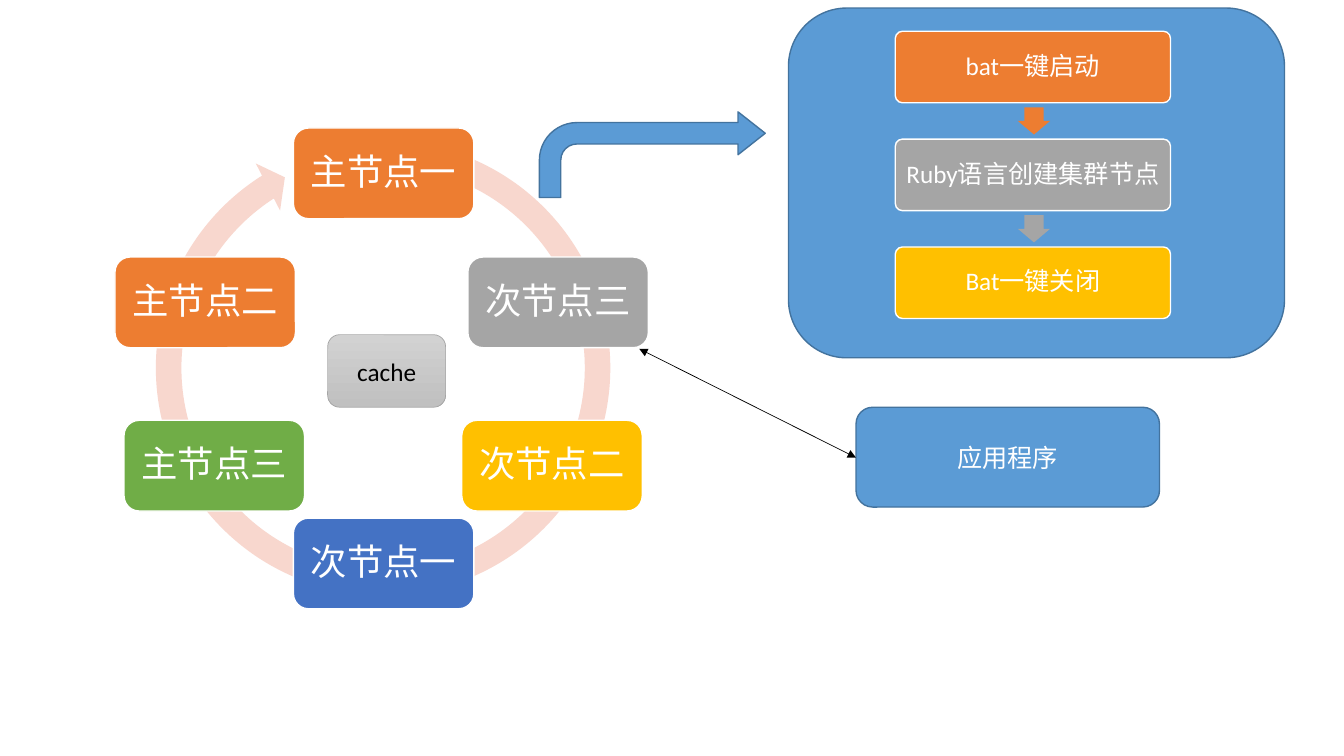
"""Build a slide showing a ring of cluster nodes, its start-up steps and the client application."""
from lxml import etree
from pptx import Presentation
from pptx.dml.color import RGBColor
from pptx.enum import shapes, text
from pptx.oxml import ns
from pptx.util import Inches, Pt

COLORS = {
    "orange": "ED7D31", "gray": "A5A5A5", "gold": "FFC000", "indigo": "4472C4",
    "green": "70AD47", "blue": "5B9BD5", "outline": "43739E", "ring": "F8D7CE",
    "white": "FFFFFF", "black": "000000", "light": "D2D2D2", "silver": "C0C0C0",
}
PRESET = shapes.MSO_SHAPE


def color(name):
    return RGBColor.from_string(COLORS[name])


def add_block(preset, box, fill, line=None, label="", size=18, inset=None, adjust=()):
    block = slide.shapes.add_shape(preset, *[Inches(length) for length in box])
    block.shadow.inherit = False
    for index, value in enumerate(adjust):
        block.adjustments[index] = value
    block.fill.solid()
    block.fill.fore_color.rgb = color(fill)
    if line:
        block.line.color.rgb = color(line)
        block.line.width = Pt(1)
    else:
        block.line.fill.background()
    if label:
        frame = block.text_frame
        frame.text = label
        frame.word_wrap = True
        frame.vertical_anchor = text.MSO_ANCHOR.MIDDLE
        paragraph = frame.paragraphs[0]
        paragraph.alignment = text.PP_ALIGN.CENTER
        font = paragraph.runs[0].font
        font.name, font.size = "Calibri", Pt(size)
        font.color.rgb = color("white")
        if inset:
            paragraph.line_spacing = 0.9
            frame.margin_left = frame.margin_right = Inches(inset)
            frame.margin_top = frame.margin_bottom = Inches(inset)
    return block


prs = Presentation()
prs.slide_width, prs.slide_height = Inches(13.33), Inches(7.5)
slide = prs.slides.add_slide(prs.slide_layouts[6])

add_block(PRESET.CIRCULAR_ARROW, (1.41, 1.26, 4.78, 4.78), "ring",
          adjust=(0.053, 3.126, 142.513, 171.135, 0.055))
nodes = [
    ("主节点一", 2.91, 1.27, "orange"),
    ("次节点三", 4.64, 2.55, "gray"),
    ("次节点二", 4.58, 4.17, "gold"),
    ("次节点一", 2.91, 5.14, "indigo"),
    ("主节点三", 1.23, 4.17, "green"),
    ("主节点二", 1.14, 2.55, "orange"),
]
for label, left, top, fill in nodes:
    add_block(PRESET.ROUNDED_RECTANGLE, (left, top, 1.79, 0.9), fill, "white", label, 26, 0.11)

add_block(PRESET.ROUNDED_RECTANGLE, (7.82, 0.08, 4.92, 3.47), "blue", "outline")
steps = [("bat一键启动", "orange"), ("Ruby语言创建集群节点", "gray"), ("Bat一键关闭", "gold")]
for index, (label, fill) in enumerate(steps):
    top = 0.31 + 1.07 * index
    add_block(PRESET.ROUNDED_RECTANGLE, (8.88, top, 2.73, 0.71), fill, "white", label,
              inset=0.07, adjust=(0.1,))
    if index < len(steps) - 1:
        next_step = add_block(PRESET.RIGHT_ARROW, (10.12, top + 0.73, 0.27, 0.32), fill,
                              adjust=(0.6, 0.5))
        next_step.rotation = 90

add_block(PRESET.ROUNDED_RECTANGLE, (8.49, 4.04, 3.01, 0.99), "blue", "outline", "应用程序")

cluster = add_block(PRESET.ROUNDED_RECTANGLE, (3.25, 3.32, 1.17, 0.72), "silver", "gray", "cache")
cluster.line.width = Pt(0.5)
cluster.text_frame.paragraphs[0].runs[0].font.color.rgb = color("black")
cluster.fill.gradient()
cluster.fill.gradient_angle = 270
for stop, shade in zip(cluster.fill.gradient_stops, ("light", "silver")):
    stop.color.rgb = color(shade)

access = slide.shapes.add_connector(shapes.MSO_CONNECTOR.STRAIGHT, Inches(8.49), Inches(4.54),
                                    Inches(6.34), Inches(3.46))
access.line.color.rgb = color("black")
access.line.width = Pt(0.5)
for end in ("a:headEnd", "a:tailEnd"):
    etree.SubElement(access.line._get_or_add_ln(), ns.qn(end), type="triangle")
etree.SubElement(access._element.spPr, ns.qn("a:effectLst"))

add_block(PRESET.BENT_ARROW, (5.35, 1.11, 2.24, 0.85), "blue", "outline",
          adjust=(0.25, 0.25, 0.317, 0.438))

prs.save("out.pptx")
